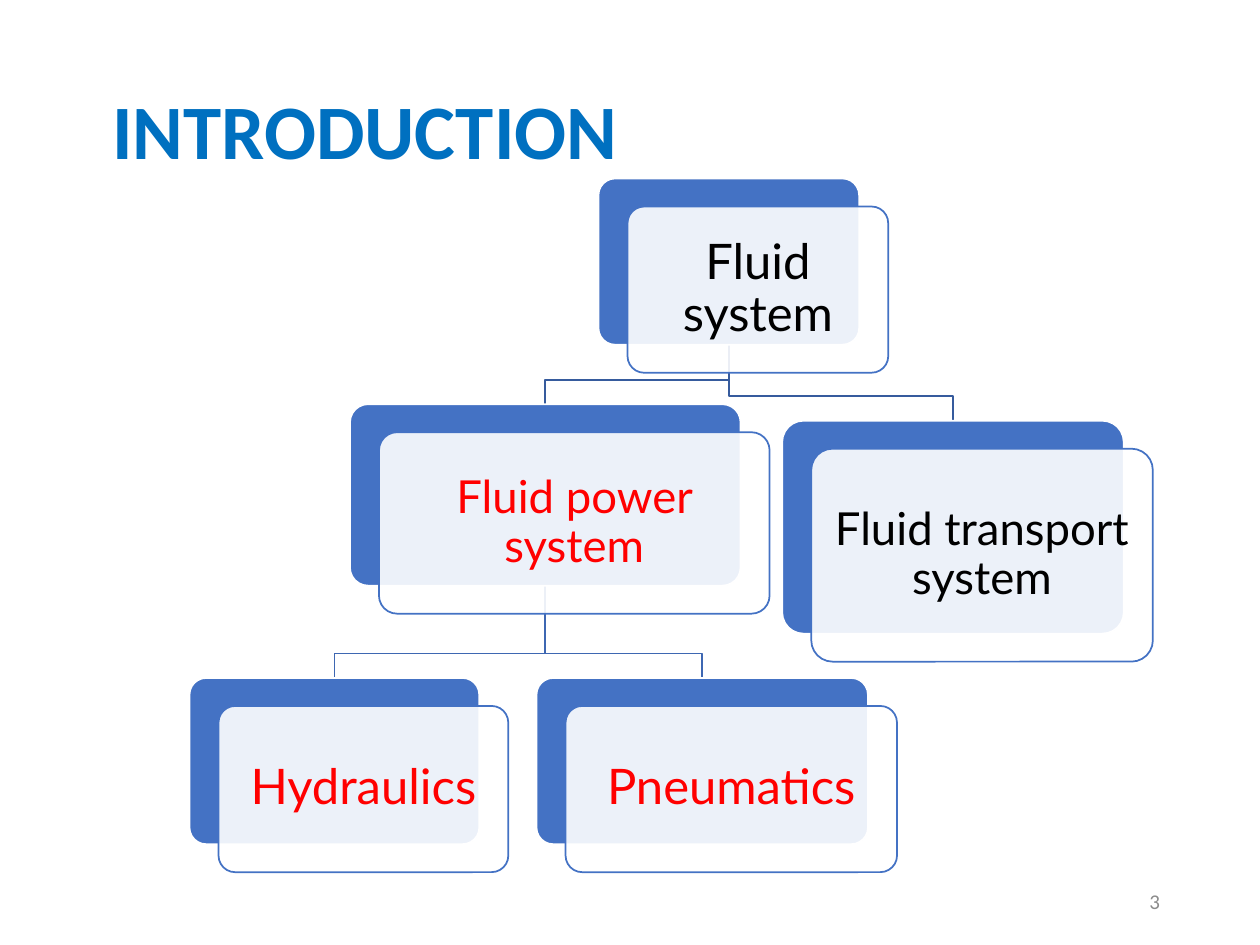
from dataclasses import dataclass

from lxml import etree
from pptx import Presentation
from pptx.dml.color import RGBColor
from pptx.enum.shapes import MSO_SHAPE
from pptx.enum.text import MSO_ANCHOR, PP_ALIGN
from pptx.oxml.ns import qn
from pptx.util import Pt

ROUNDED = MSO_SHAPE.ROUNDED_RECTANGLE
MIDDLE = MSO_ANCHOR.MIDDLE
LEFT, CENTER, RIGHT = PP_ALIGN.LEFT, PP_ALIGN.CENTER, PP_ALIGN.RIGHT

BLUE, WHITE, BLACK, RED = "4472C4", "FFFFFF", "000000", "FF0000"
CARD_SHIFT_X, CARD_SHIFT_Y = 16.6, 16
TURN_HEIGHT = 14
INSET_RATIO = 0.3


@dataclass(frozen=True)
class Node:
    label: str
    left: float
    top: float
    width: float
    height: float
    size: float
    color: str

    @property
    def center(self) -> float:
        return self.left + self.width / 2

    @property
    def bottom(self) -> float:
        return self.top + self.height


@dataclass(frozen=True)
class Link:
    parent: Node
    child: Node
    color: str


SYSTEM = Node("Fluid system", 342, 102, 149, 95, 28, BLACK)
POWER = Node("Fluid power system", 200, 231, 223.2, 103.7, 26, RED)
HYDRAULICS = Node("Hydraulics", 108.3, 387.4, 165.6, 95, 28, RED)
PNEUMATICS = Node("Pneumatics", 306.6, 387.4, 189.4, 95, 28, RED)
TRANSPORT = Node("Fluid transport system", 447, 240.4, 195.2, 121.7, 26, BLACK)
NODES = [SYSTEM, POWER, HYDRAULICS, PNEUMATICS, TRANSPORT]
LINKS = [
    Link(SYSTEM, TRANSPORT, "365B9D"),
    Link(POWER, PNEUMATICS, "3E67B2"),
    Link(POWER, HYDRAULICS, "3E67B2"),
    Link(SYSTEM, POWER, "365B9D"),
]


def rgb(value: str) -> RGBColor:
    return RGBColor.from_string(value)


def write(shape, text: str, *, size: float, color: str, font: str, align=LEFT,
          bold: bool = False, spacing: float = 1.0) -> None:
    frame = shape.text_frame
    frame.word_wrap = True
    frame.vertical_anchor = MIDDLE
    para = frame.paragraphs[0]
    para.alignment = align
    para.line_spacing = spacing
    span = para.add_run()
    span.text = text
    span.font.size = Pt(size)
    span.font.name = font
    span.font.bold = bold
    span.font.color.rgb = rgb(color)


def set_line(shape, color: str) -> None:
    shape.shadow.inherit = False
    shape.line.color.rgb = rgb(color)
    shape.line.width = Pt(1)


def draw_link(page, link: Link) -> None:
    parent, child = link.parent, link.child
    turn = child.top - TURN_HEIGHT
    builder = page.shapes.build_freeform(Pt(parent.center), Pt(parent.bottom))
    corners = [(parent.center, turn), (child.center, turn), (child.center, child.top)]
    builder.add_line_segments([(Pt(x), Pt(y)) for x, y in corners], close=False)
    shape = builder.convert_to_shape()
    shape.fill.background()
    set_line(shape, link.color)


def draw_card(page, node: Node, *, shift_x: float, shift_y: float, fill: str, line: str):
    card = page.shapes.add_shape(ROUNDED, Pt(node.left + shift_x), Pt(node.top + shift_y),
                                 Pt(node.width), Pt(node.height))
    card.adjustments[0] = 0.1
    card.fill.solid()
    card.fill.fore_color.rgb = rgb(fill)
    set_line(card, line)
    return card


def draw_node(page, node: Node) -> None:
    draw_card(page, node, shift_x=0, shift_y=0, fill=BLUE, line=WHITE)
    front = draw_card(page, node, shift_x=CARD_SHIFT_X, shift_y=CARD_SHIFT_Y,
                      fill=WHITE, line=BLUE)
    color = front.fill._xPr.find(qn("a:solidFill")).find(qn("a:srgbClr"))
    etree.SubElement(color, qn("a:alpha"), val="90000")
    frame = front.text_frame
    inset = Pt(node.size * INSET_RATIO)
    frame.margin_left = frame.margin_right = inset
    frame.margin_top = frame.margin_bottom = inset
    write(front, node.label, size=node.size, color=node.color, font="Lato",
          align=CENTER, spacing=0.9)


def main() -> None:
    deck = Presentation()
    deck.slide_width, deck.slide_height = Pt(720), Pt(540)
    page = deck.slides.add_slide(deck.slide_layouts[6])
    for link in LINKS:
        draw_link(page, link)
    for node in NODES:
        draw_node(page, node)
    number = page.shapes.add_textbox(Pt(508), Pt(500.4), Pt(162), Pt(28.8))
    write(number, "3", size=12, color="8C8C8C", font="Calibri", align=RIGHT)
    title = page.shapes.add_textbox(Pt(57), Pt(42), Pt(610), Pt(70))
    write(title, "INTRODUCTION", size=44, color="0070C0", font="Calibri",
          bold=True, spacing=0.9)
    deck.save("out.pptx")


if __name__ == "__main__":
    main()
